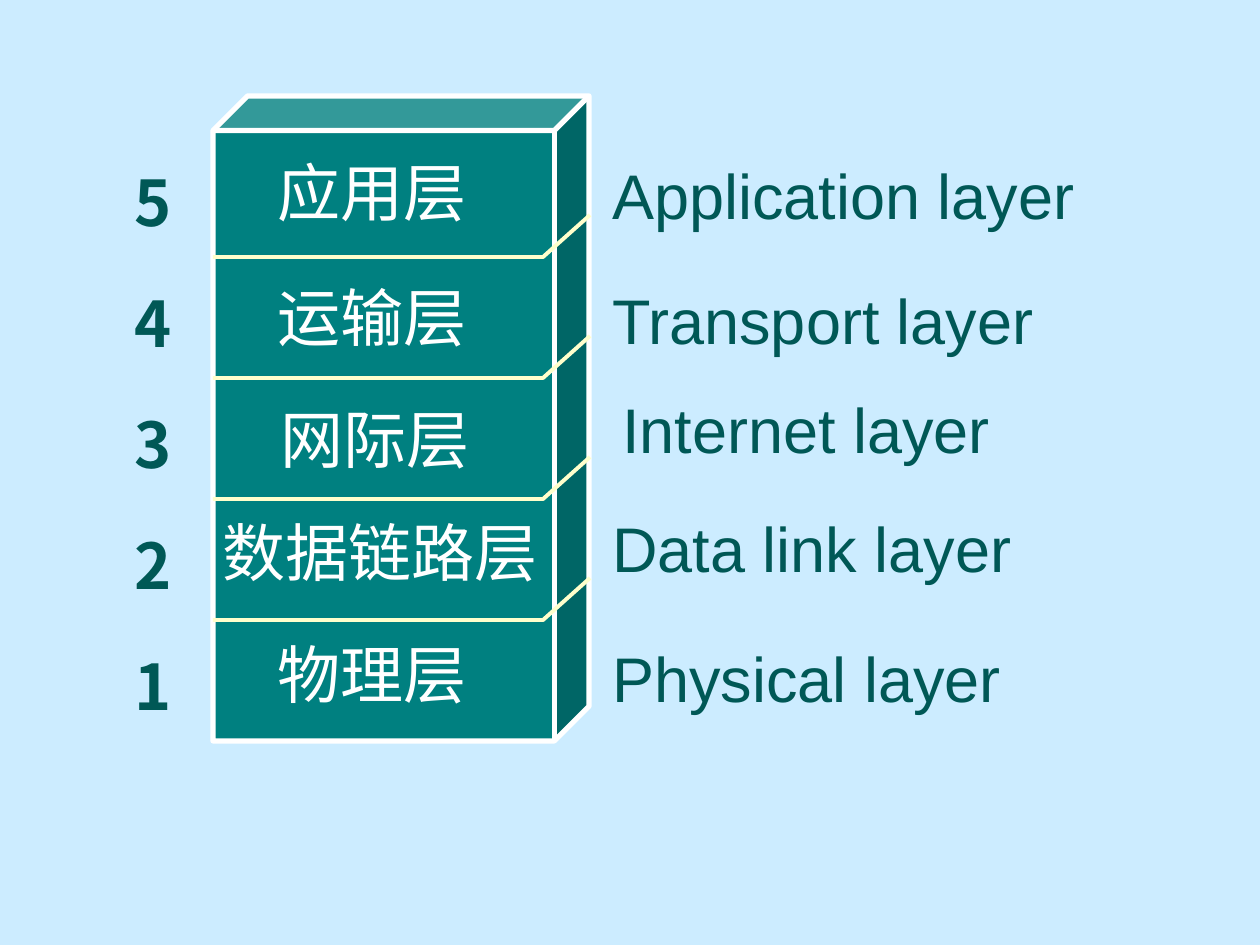
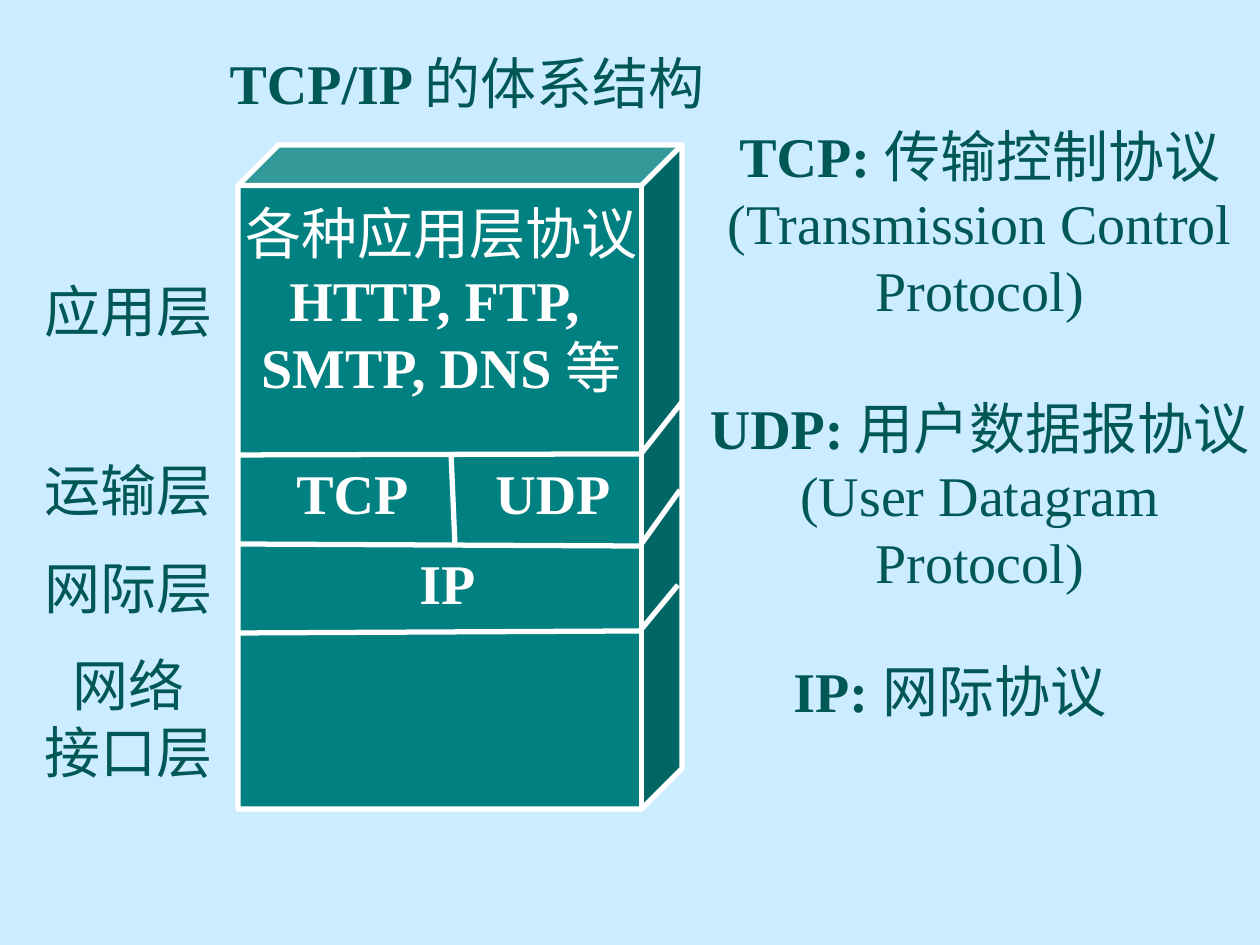
from lxml import etree
from pptx import Presentation
from pptx.dml.color import RGBColor
from pptx.enum.shapes import MSO_CONNECTOR as Link, MSO_SHAPE as Shape
from pptx.enum.text import MSO_ANCHOR as Anchor, MSO_AUTO_SIZE as AutoSize, PP_ALIGN as Align
from pptx.oxml.ns import qn
from pptx.util import Emu, Pt

SCALE = 914400 / 126
SKY, TEAL, INK, WHITE, CREAM = "CCECFF", "008080", "005856", "FFFFFF", "FFFFCC"
CJK, SANS, SERIF = "Noto Sans CJK SC", "Arial", "Times New Roman"


def px(value):
    return Emu(round(value * SCALE))


def colour(target, value):
    target.rgb = RGBColor.from_string(value)


def style_line(line, value, width):
    colour(line.color, value)
    line.width = Pt(width)


def write(shape, lines, size, font, ink, align=Align.LEFT, spacing=None):
    """Fill a shape with lines, each a list of (text, bold) spans."""
    frame = shape.text_frame
    frame.word_wrap = False
    frame.auto_size = AutoSize.SHAPE_TO_FIT_TEXT
    frame.vertical_anchor = Anchor.TOP
    for index, spans in enumerate(lines):
        para = frame.add_paragraph() if index else frame.paragraphs[0]
        para.alignment = align
        para.line_spacing = spacing
        para.space_before = Pt(0)
        for text, bold in spans:
            span = para.add_run()
            span.text = text
            span.font.name, span.font.size, span.font.bold = font, Pt(size), bold
            colour(span.font.color, ink)
            east_asian = etree.SubElement(span.font._element, qn("a:ea"))
            east_asian.set("typeface", CJK)


def add_text(page, box, lines, *style, **options):
    write(page.shapes.add_textbox(*map(px, box)), lines, *style, **options)


def add_cube(page, box, depth):
    cube = page.shapes.add_shape(Shape.CUBE, *map(px, box))
    cube.adjustments[0] = depth
    cube.shadow.inherit = False
    cube.fill.solid()
    colour(cube.fill.fore_color, TEAL)
    style_line(cube.line, WHITE, 3)


def add_seam(page, left, top, points, value, width):
    """Draw an open line across the front and side of a cube."""
    start, *rest = [(left + x, top + y) for x, y in points]
    builder = page.shapes.build_freeform(*start, scale=SCALE)
    builder.add_line_segments(rest, close=False)
    seam = builder.convert_to_shape()
    seam.shadow.inherit = False
    seam.fill.background()
    style_line(seam.line, value, width)


def add_layer_stack(page, left, top):
    add_cube(page, (left, top, 376, 645), 0.092)
    for index in range(4):
        y = 161 + 121 * index
        add_seam(page, left, top, [(0, y), (330, y), (377, y - 42)], CREAM, 2.25)
    layers = [("应用层", 52, 51, 214), ("运输层", 52, 176, 214), ("网际层", 55, 298, 214),
              ("数据链路层", -3, 411, 340), ("物理层", 52, 533, 214)]
    for name, x, y, width in layers:
        add_text(page, (left + x, top + y, width, 88), [[(name, False)]], 36, CJK, WHITE)


def add_layer_numbers(page, box):
    add_text(page, box, [[(number, True)] for number in "54321"], 36, CJK, INK, spacing=1.6)


def add_english_names(page, left, top):
    names = [("Application layer", 0, 0, 490), ("Transport layer", 0, 125, 451),
             ("Internet layer", 10, 234, 395), ("Data link layer", 0, 353, 427),
             ("Physical layer", 0, 483, 418)]
    for name, x, y, width in names:
        add_text(page, (left + x, top + y, width, 88), [[(name, False)]], 36, SANS, INK)


def add_protocol_stack(page, left, top):
    add_cube(page, (left, top, 444, 664), 0.091)
    for seam in ([(444, 257), (403, 309), (0, 310)],
                 [(442, 345), (402, 401), (0, 399)],
                 [(440, 440), (402, 486), (0, 488)]):
        add_seam(page, left, top, seam, WHITE, 3)
    divider = page.shapes.add_connector(
        Link.STRAIGHT, px(left + 213), px(top + 307), px(left + 217), px(top + 401))
    style_line(divider.line, WHITE, 3)
    etree.SubElement(divider._element.spPr, qn("a:effectLst"))
    applications = [[("各种应用层协议", False)], [("HTTP, FTP, ", True)],
                    [("SMTP, DNS ", True), ("等", False)]]
    add_text(page, (left - 15, top + 47, 437, 214), applications, 32, SERIF, WHITE,
             align=Align.CENTER)
    for name, x, y, width in [("TCP", 46, 307, 137), ("UDP", 245, 307, 140), ("IP", 169, 397, 81)]:
        add_text(page, (left + x, top + y, width, 81), [[(name, True)]], 32, SERIF, WHITE)


def add_layer_labels(page, left, top):
    for y, height, *lines in [(0, 81, "应用层"), (179, 81, "运输层"), (277, 81, "网际层"),
                              (374, 147, "网络", "接口层")]:
        add_text(page, (left, top + y, 193, height), [[(line, False)] for line in lines],
                 32, SERIF, INK, align=Align.CENTER)


def add_definitions(page, left, top):
    definitions = [
        ((15, 0, 550, 214), "TCP: ", "传输控制协议", "(Transmission Control", "Protocol)"),
        ((-9, 272, 598, 214), "UDP: ", "用户数据报协议", "(User Datagram", "Protocol)"),
        ((91, 535, 354, 81), "IP: ", "网际协议")]
    for (x, y, width, height), short, meaning, *english in definitions:
        lines = [[(short, True), (meaning, False)]] + [[(line, False)] for line in english]
        add_text(page, (left + x, top + y, width, height), lines, 32, SERIF, INK,
                 align=Align.CENTER if english else Align.LEFT)


def add_title(page, box):
    title = page.shapes.title
    title.left, title.top, title.width, title.height = map(px, box)
    write(title, [[("TCP/IP ", True), ("的体系结构", False)]], 32, SERIF, INK)


def new_page(deck, layout):
    page = deck.slides.add_slide(deck.slide_layouts.get_by_name(layout))
    page.background.fill.solid()
    colour(page.background.fill.fore_color, SKY)
    return page


def main():
    deck = Presentation()
    deck.slide_width, deck.slide_height = px(1260), px(945)

    page = new_page(deck, "Blank")
    add_layer_numbers(page, (122, 112, 60, 617))
    add_layer_stack(page, 213, 96)
    add_english_names(page, 600, 150)

    page = new_page(deck, "Title Only")
    add_title(page, (217, 42, 517, 81))
    add_protocol_stack(page, 238, 145)
    add_layer_labels(page, 32, 270)
    add_definitions(page, 690, 115)

    deck.save("out.pptx")


if __name__ == "__main__":
    main()
